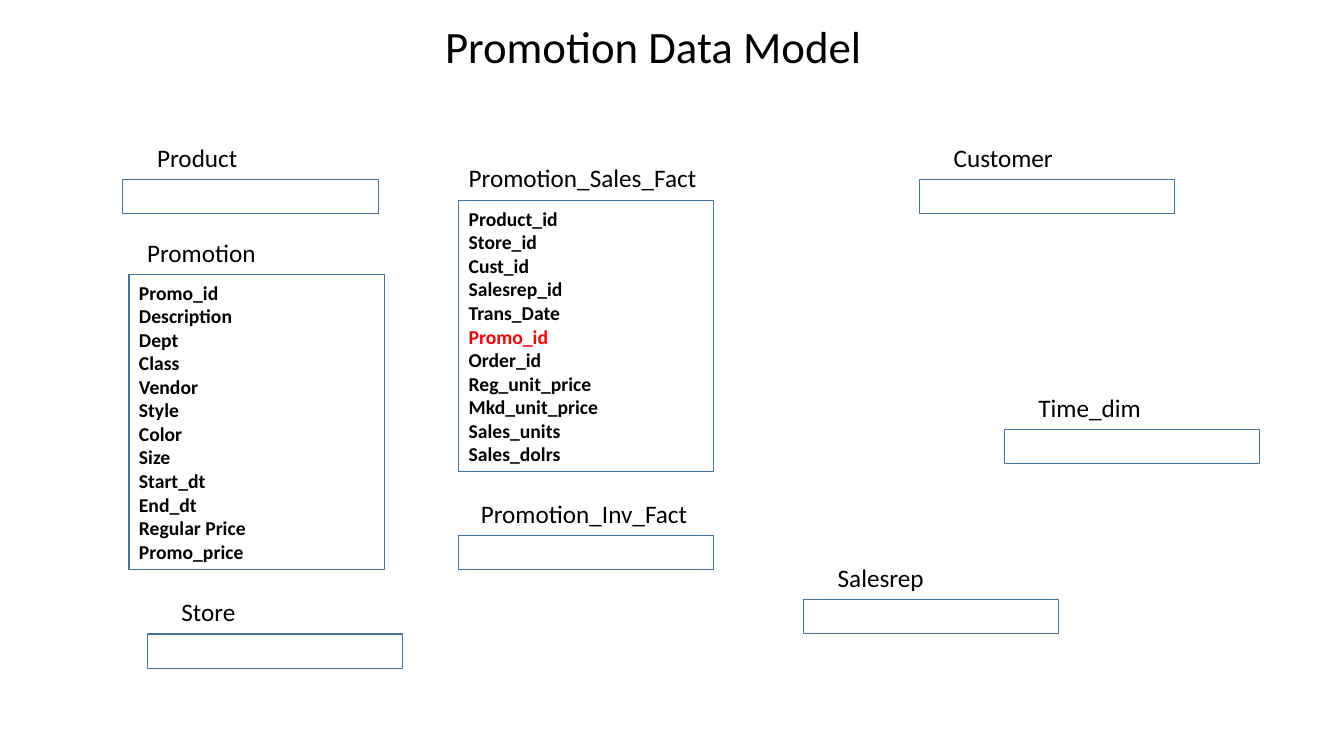
from dataclasses import dataclass

import pptx
import pptx.dml.color
import pptx.enum.shapes
import pptx.enum.text
import pptx.util
from pptx.util import Inches

TEXT_COLOUR = "000000"
KEY_COLOUR = "FF0000"
BORDER_COLOUR = "43739E"
TITLE_FORMAT = {"name": "Calibri", "size": pptx.util.Pt(32), "bold": False}
LABEL_FORMAT = {"name": "Calibri", "size": pptx.util.Pt(18), "bold": False}
COLUMN_FORMAT = {"name": "Calibri", "size": pptx.util.Pt(14), "bold": True}
ENTITY_WIDTH = 2.53
LABEL_WIDTH = 2.29
LABEL_HEIGHT = 0.42


@dataclass
class Entity:
    """A table of the model; the label offset is measured from its box."""
    label: str
    left: float
    top: float
    height: float = 0.34
    label_offset: float = 0.24
    label_width: float = LABEL_WIDTH
    label_rise: float = LABEL_HEIGHT
    columns: tuple[str, ...] = ()
    highlighted: str = ""


ENTITIES = [
    Entity("Promotion_Sales_Fact", 4.55, 1.99, 2.69, 0, 2.86, 0.43,
           ("Product_id", "Store_id", "Cust_id", "Salesrep_id", "Trans_Date",
            "Promo_id", "Order_id", "Reg_unit_price", "Mkd_unit_price",
            "Sales_units", "Sales_dolrs"), "Promo_id"),
    Entity("Promotion_Inv_Fact", 4.55, 5.31, label_offset=0.12),
    Entity("Product", 1.22, 1.78),
    Entity("Store", 1.46, 6.29),
    Entity("Customer", 9.12, 1.78),
    Entity("Salesrep", 7.97, 5.95),
    Entity("Time_dim", 9.96, 4.26),
    Entity("Promotion", 1.28, 2.72, 2.93, 0.08, columns=(
        "Promo_id", "Description", "Dept", "Class", "Vendor", "Style", "Color",
        "Size", "Start_dt", "End_dt", "Regular Price", "Promo_price")),
]


def rgb(colour: str) -> pptx.dml.color.RGBColor:
    return pptx.dml.color.RGBColor.from_string(colour)


def write(paragraph, text: str, text_format: dict, colour: str = TEXT_COLOUR,
          alignment=pptx.enum.text.PP_ALIGN.LEFT) -> None:
    paragraph.alignment = alignment
    run = paragraph.add_run()
    run.text = text
    for attribute, value in text_format.items():
        setattr(run.font, attribute, value)
    run.font.color.rgb = rgb(colour)


def draw_title(slide, text: str) -> None:
    title = slide.shapes.title
    title.left, title.top = Inches(3.6), Inches(0.14)
    title.width, title.height = Inches(5.76), Inches(0.64)
    frame = title.text_frame
    frame.auto_size = pptx.enum.text.MSO_AUTO_SIZE.NONE
    frame.vertical_anchor = pptx.enum.text.MSO_ANCHOR.TOP
    write(frame.paragraphs[0], text, TITLE_FORMAT,
          alignment=pptx.enum.text.PP_ALIGN.CENTER)


def draw_entity(slide, entity: Entity) -> None:
    box = slide.shapes.add_shape(
        pptx.enum.shapes.MSO_SHAPE.RECTANGLE, Inches(entity.left),
        Inches(entity.top), Inches(ENTITY_WIDTH), Inches(entity.height))
    box.shadow.inherit = False
    box.fill.background()
    box.line.color.rgb = rgb(BORDER_COLOUR)
    box.line.width = pptx.util.Pt(0.75)
    frame = box.text_frame
    frame.word_wrap = True
    frame.vertical_anchor = pptx.enum.text.MSO_ANCHOR.MIDDLE
    for index, column in enumerate(entity.columns):
        paragraph = frame.add_paragraph() if index else frame.paragraphs[0]
        colour = KEY_COLOUR if column == entity.highlighted else TEXT_COLOUR
        write(paragraph, column, COLUMN_FORMAT, colour)

    label = slide.shapes.add_textbox(
        Inches(entity.left + entity.label_offset),
        Inches(entity.top - entity.label_rise),
        Inches(entity.label_width), Inches(LABEL_HEIGHT))
    label.text_frame.word_wrap = True
    write(label.text_frame.paragraphs[0], entity.label, LABEL_FORMAT)


def main() -> None:
    deck = pptx.Presentation()
    deck.slide_width, deck.slide_height = Inches(13.33), Inches(7.5)
    slide = deck.slides.add_slide(deck.slide_layouts.get_by_name("Title Only"))
    draw_title(slide, "Promotion Data Model")
    for entity in ENTITIES:
        draw_entity(slide, entity)
    deck.save("out.pptx")


if __name__ == "__main__":
    main()
